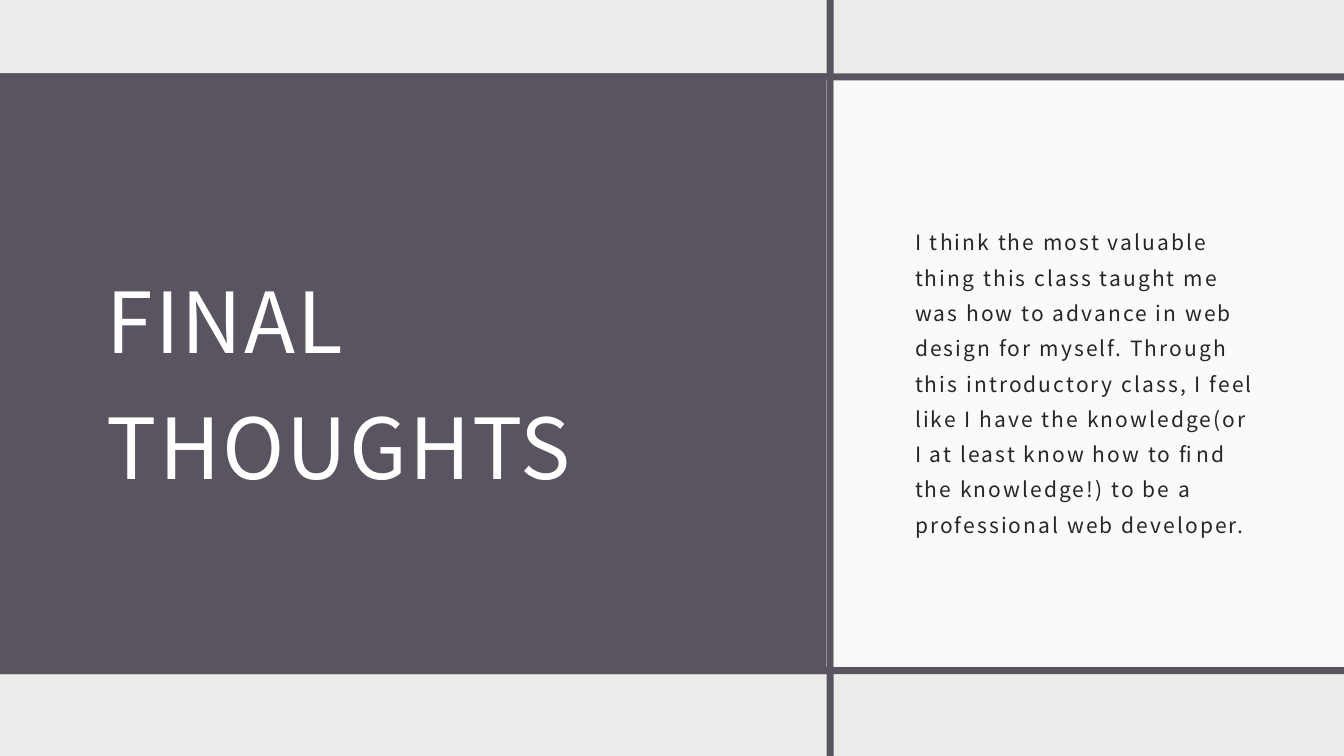
import pptx
import pptx.dml.color
import pptx.enum.shapes
import pptx.enum.text
import pptx.oxml
import pptx.oxml.ns
import pptx.util
from pptx.util import Cm

RGBColor = pptx.dml.color.RGBColor
MIST = RGBColor(0xEB, 0xED, 0xEB)
PLUM = RGBColor(0x59, 0x54, 0x60)
WHITE = RGBColor(0xFF, 0xFF, 0xFF)
INK = RGBColor(0x26, 0x26, 0x26)
FONT = "Noto Sans CJK JP"

WIDTH, HEIGHT = 33.87, 19.05
BAR = 0.18
BAND_TOP, BAND_HEIGHT = 1.85, 15.14
DIVIDER_LEFT = 20.83
PANEL_LEFT = DIVIDER_LEFT + BAR

TITLE = "FINAL THOUGHTS"
BODY = (
    "I think the most valuable thing this class taught me was how to advance "
    "in web design for myself. Through this introductory class, I feel like "
    "I have the knowledge(or I at least know how to find the knowledge!) "
    "to be a professional web developer."
)


def add_block(page, left, top, width, height, color, opacity=100):
    """Add a borderless rectangle; opacity is a percentage."""
    block = page.shapes.add_shape(
        pptx.enum.shapes.MSO_SHAPE.RECTANGLE,
        Cm(left), Cm(top), Cm(width), Cm(height))
    block.shadow.inherit = False
    block.line.fill.background()
    block.fill.solid()
    block.fill.fore_color.rgb = color
    if opacity < 100:
        tint = block.fill._xPr.find(".//" + pptx.oxml.ns.qn("a:srgbClr"))
        alpha = pptx.oxml.parse_xml(
            f'<a:alpha {pptx.oxml.ns.nsdecls("a")} val="{opacity * 1000}"/>')
        tint.append(alpha)


def add_text(page, left, top, width, height, text, size, color, line_spacing, space_before=0):
    """Add a vertically centred text box with letters spaced by 1.5 pt."""
    box = page.shapes.add_textbox(Cm(left), Cm(top), Cm(width), Cm(height))
    frame = box.text_frame
    frame.word_wrap = True
    frame.vertical_anchor = pptx.enum.text.MSO_ANCHOR.MIDDLE
    frame.margin_left = frame.margin_right = frame.margin_top = Cm(0.3)
    frame.margin_bottom = Cm(0.25)
    frame.text = text
    para = frame.paragraphs[0]
    para.line_spacing = line_spacing
    para.space_before = pptx.util.Pt(space_before)
    span = para.runs[0]
    span.font.name = FONT
    span.font.size = pptx.util.Pt(size)
    span.font.color.rgb = color
    span._r.get_or_add_rPr().set("spc", "150")


def main():
    deck = pptx.Presentation()
    deck.slide_width, deck.slide_height = Cm(WIDTH), Cm(HEIGHT)
    page = deck.slides.add_slide(deck.slide_layouts[6])
    page.background.fill.solid()
    page.background.fill.fore_color.rgb = MIST

    add_block(page, 0, BAND_TOP, DIVIDER_LEFT, BAND_HEIGHT, PLUM)
    add_text(page, 2.39, 3.3, 16.69, 12.01, TITLE, 60, WHITE, 1.25)

    add_block(page, DIVIDER_LEFT, 0, BAR, HEIGHT, PLUM)
    add_block(page, PANEL_LEFT, BAND_TOP, WIDTH - PANEL_LEFT, BAND_HEIGHT, WHITE, opacity=75)
    add_text(page, 22.76, 4.37, 9.32, 10.29, BODY, 15, INK, 1.4, space_before=9.3)

    for bar_top in (BAND_TOP, BAND_TOP + BAND_HEIGHT - BAR):
        add_block(page, 0, bar_top, WIDTH, BAR, PLUM)

    deck.save("out.pptx")


if __name__ == "__main__":
    main()
